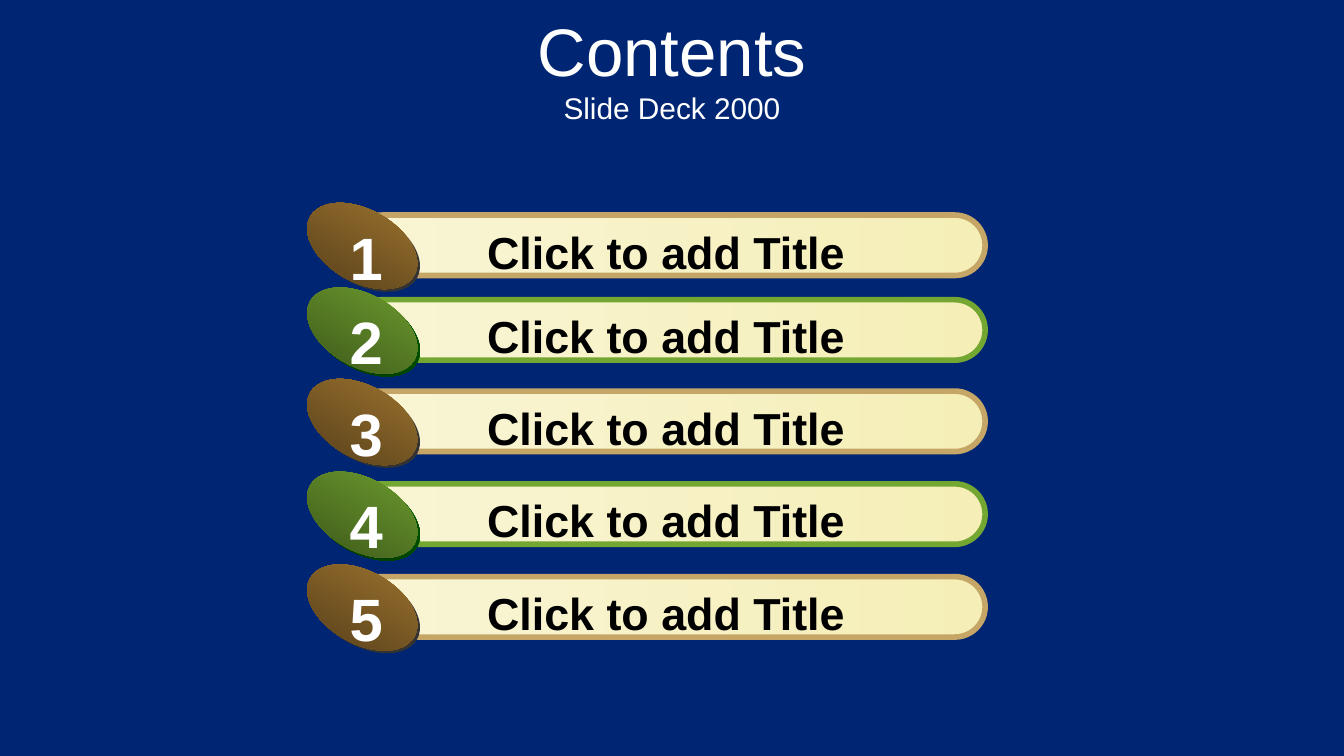
from pptx import Presentation
from pptx.dml.color import RGBColor
from pptx.enum.shapes import MSO_SHAPE as Shape
from pptx.enum.text import MSO_ANCHOR as Anchor, MSO_AUTO_SIZE as AutoSize, PP_ALIGN as Align
from pptx.util import Inches, Pt

FONT = "Arial"
NAVY, WHITE, BLACK = "002673", "FFFFFF", "000000"
CREAM = ("F9F5D5", "F5EEB7")
# Line colour, badge gradient and badge shade of each row style
BROWN = ("C5A667", ("A67A32", "4D3817"), ("333333",))
GREEN = ("74A731", ("74A731", "364D17"), ("006600", "002F00"))
ROW_TOPS = (1.6, 2.23, 2.91, 3.6, 4.29)


def color(value):
    return RGBColor.from_string(value)


class ContentsSlide:
    def __init__(self, deck):
        self.page = deck.slides.add_slide(deck.slide_layouts[5])
        background = self.page.background.fill
        background.solid()
        background.fore_color.rgb = color(NAVY)

    def place(self, box, left, top, width, height):
        box.left, box.top = Inches(left), Inches(top)
        box.width, box.height = Inches(width), Inches(height)

    def span(self, para, text, size, ink, bold=False):
        span = para.add_run()
        span.text = text
        span.font.name, span.font.size, span.font.bold = FONT, Pt(size), bold
        span.font.color.rgb = color(ink)

    def title(self, heading, subtitle):
        box = self.page.shapes.title
        self.place(box, 0, 0.19, 10, 0.62)
        frame = box.text_frame
        frame.auto_size, frame.vertical_anchor = AutoSize.NONE, Anchor.MIDDLE
        para = frame.paragraphs[0]
        para.alignment = Align.CENTER
        self.span(para, heading, 36, WHITE)
        para.add_line_break()
        self.span(para, subtitle, 16, WHITE)

    def shape(self, group, kind, at, colors, angle=0, outline=None):
        shape = group.shapes.add_shape(kind, *map(Inches, at))
        shape.shadow.inherit = False
        if len(colors) == 1:
            shape.fill.solid()
            shape.fill.fore_color.rgb = color(colors[0])
        else:
            shape.fill.gradient()
            shape.fill.gradient_angle = angle
            for stop, value in zip(shape.fill.gradient_stops, colors):
                stop.color.rgb = color(value)
        if outline:
            shape.line.color.rgb = color(outline)
            shape.line.width = Pt(3)
        else:
            shape.line.fill.background()
        return shape

    def label(self, group, at, text, size, ink, wrap):
        box = group.shapes.add_textbox(*map(Inches, at))
        frame = box.text_frame
        frame.word_wrap, frame.auto_size = wrap, AutoSize.SHAPE_TO_FIT_TEXT
        para = frame.paragraphs[0]
        para.alignment = Align.CENTER
        self.span(para, text, size, ink, bold=True)

    def row(self, number, top, style):
        outline, badge, shade = style
        group = self.page.shapes.add_group_shape()
        # Bar and its text
        bar = self.shape(group, Shape.ROUNDED_RECTANGLE, (2.62, top, 4.71, 0.45),
                         CREAM, outline=outline)
        bar.adjustments[0] = 0.5
        self.label(group, (3.08, top + 0.02, 3.75, 0.51), "Click to add Title",
                   24, BLACK, wrap=True)
        # Tilted badge over its shade
        for offset, colors in ((0.02, shade), (0, badge)):
            oval = self.shape(group, Shape.OVAL,
                              (2.25 + offset, top - 0.04 + offset, 0.89, 0.54),
                              colors, angle=270)
            oval.rotation = 29.3
        self.label(group, (2.5, top - 0.01, 0.45, 0.64), str(number), 32, WHITE, wrap=False)


def main():
    deck = Presentation()
    deck.slide_width = Inches(10)
    deck.slide_height = deck.slide_width * 9 // 16
    slide = ContentsSlide(deck)
    slide.title("Contents", "Slide Deck 2000")
    # Rows alternate between brown and green
    for number, top in enumerate(ROW_TOPS, start=1):
        slide.row(number, top, BROWN if number % 2 else GREEN)
    deck.save("out.pptx")


if __name__ == "__main__":
    main()
